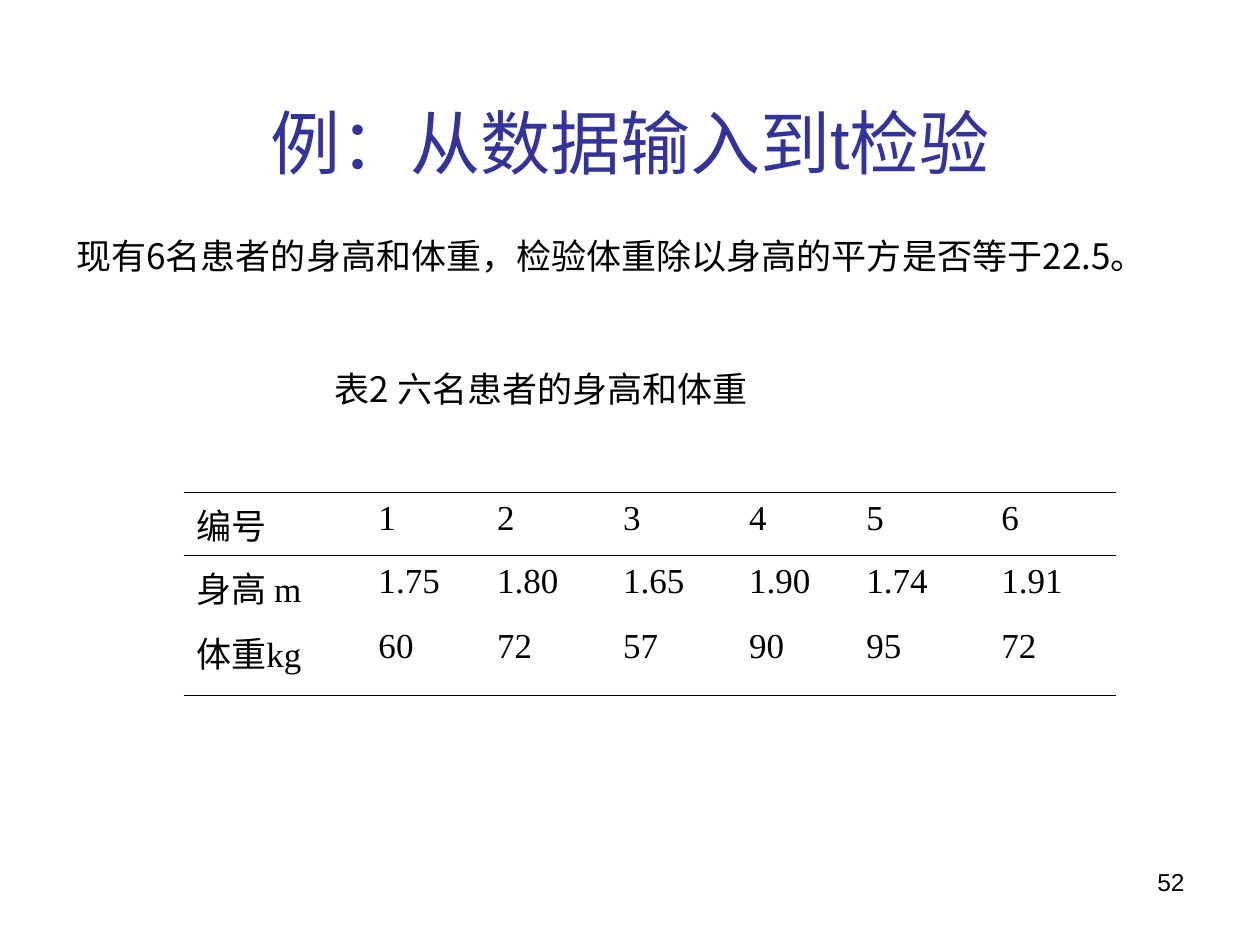
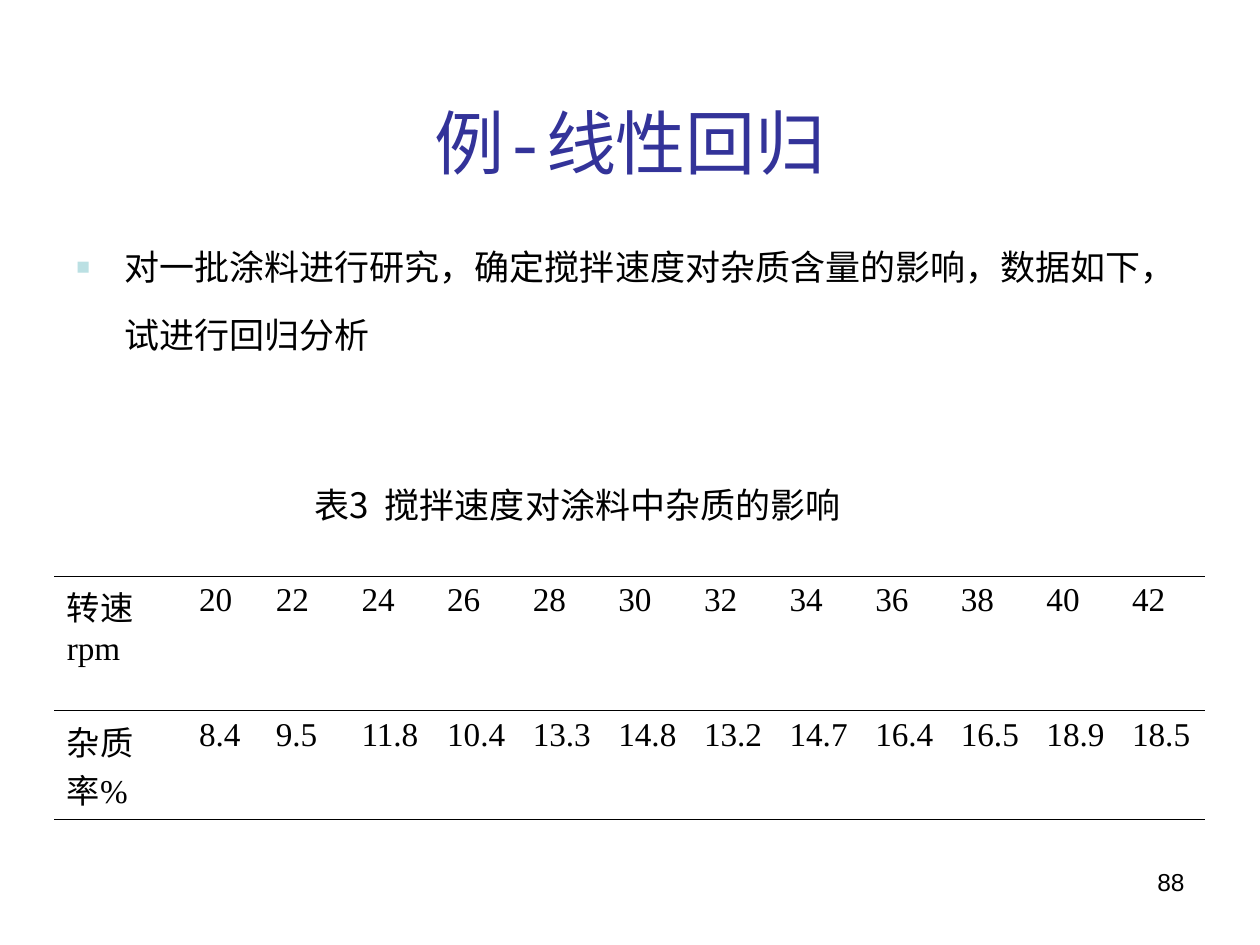
from dataclasses import dataclass

from lxml.etree import SubElement
from pptx import Presentation
from pptx.dml.color import RGBColor
from pptx.enum.text import MSO_ANCHOR, MSO_AUTO_SIZE, PP_ALIGN
from pptx.oxml import parse_xml
from pptx.oxml.ns import nsdecls, qn
from pptx.util import Pt


@dataclass(frozen=True)
class Theme:
    title_color: str = "333399"
    text_color: str = "000000"
    bullet_color: str = "BBE0E3"
    cjk: str = "Noto Sans CJK SC"
    page_font: str = "Arial"
    bullet_font: str = "Arial"
    table_font: str = "Times New Roman"
    title_size: float = 40
    body_size: float = 20
    page_size: float = 14
    line_spacing: float = 1.6
    plain_table: str = "{2D5ABB26-0587-4C30-8999-92F81FD0307C}"


THEME = Theme()

# Content: boxes are (left, top, width, height) in points
EXAMPLES = [
    {
        "title": "例：从数据输入到t检验",
        "title_font": "Arial",
        "page": "52",
        "task": "现有6名患者的身高和体重，检验体重除以身高的平方是否等于22.5。",
        "task_box": (36.5, 116, 629, 46),
        "task_before": 5,
        "bulleted": False,
        "caption": "表2 六名患者的身高和体重",
        "caption_box": (184.2, 206.2, 391, 32),
        "rows": [
            ["编号", "1", "2", "3", "4", "5", "6"],
            ["身高 m", "1.75", "1.80", "1.65", "1.90", "1.74", "1.91"],
            ["体重kg", "60", "72", "57", "90", "95", "72"],
        ],
        "table_at": (104.9, 281.4),
        "column_widths": [104.2, 67.8, 72, 72, 67, 77.2, 72.6],
        "row_heights": [36.2, 37.1, 42.8],
        "table_size": 20,
        "ruled_after": [0, 2],
        "top_rule": 0.75,
    },
    {
        "title": "例-线性回归",
        "title_font": "Courier New",
        "page": "88",
        "task": "对一批涂料进行研究，确定搅拌速度对杂质含量的影响，数据如下，试进行回归分析",
        "task_box": (36.5, 122.5, 652, 84),
        "task_before": 12.5,
        "bulleted": True,
        "caption": "表3  搅拌速度对涂料中杂质的影响",
        "caption_box": (172.7, 273, 459, 32),
        "rows": [
            ["转速rpm"] + [str(rpm) for rpm in range(20, 43, 2)],
            ["杂质率%", "8.4", "9.5", "11.8", "10.4", "13.3", "14.8",
             "13.2", "14.7", "16.4", "16.5", "18.9", "18.5"],
        ],
        "table_at": (31, 329.2),
        "column_widths": [75.6, 43.9] + [48.95] * 11,
        "row_heights": [76.7, 62.3],
        "table_size": 19,
        "ruled_after": [0, 1],
        "top_rule": 0.45,
    },
]
TITLE_BOX = (36, 21.6, 648, 90)
PAGE_BOX = (516.2, 491.8, 167.8, 37.4)
RULE = 0.45
BULLET_INDENT = 27.4


# Text helpers
def style(paragraph, size, font, color=THEME.text_color):
    paragraph.font.size = Pt(size)
    paragraph.font.name = font
    paragraph.font.color.rgb = RGBColor.from_string(color)
    defaults = paragraph._p.pPr.find(qn("a:defRPr"))
    SubElement(defaults, qn("a:ea"), typeface=THEME.cjk)


def add_text(slide, text, box, size, font, grow=True):
    frame = slide.shapes.add_textbox(*map(Pt, box)).text_frame
    frame.word_wrap = True
    if grow:
        frame.auto_size = MSO_AUTO_SIZE.SHAPE_TO_FIT_TEXT
    paragraph = frame.paragraphs[0]
    paragraph.text = text
    style(paragraph, size, font)
    return paragraph


def add_bullet(paragraph):
    properties = paragraph._p.get_or_add_pPr()
    properties.set("marL", str(Pt(BULLET_INDENT)))
    properties.set("indent", str(-Pt(BULLET_INDENT)))
    defaults = properties.find(qn("a:defRPr"))
    for mark in (
        f'<a:buClr {nsdecls("a")}><a:srgbClr val="{THEME.bullet_color}"/></a:buClr>',
        f'<a:buSzPct {nsdecls("a")} val="65000"/>',
        f'<a:buFont {nsdecls("a")} typeface="{THEME.bullet_font}"/>',
        f'<a:buChar {nsdecls("a")} char="■"/>',
    ):
        defaults.addprevious(parse_xml(mark))


# Table: every side is stated, so that unruled sides stay empty
def set_rules(cell, top, bottom):
    sides = (("lnL", 0), ("lnR", 0), ("lnT", top), ("lnB", bottom))
    for position, (tag, width) in enumerate(sides):
        paint = (f'<a:solidFill><a:srgbClr val="{THEME.text_color}"/></a:solidFill>'
                 if width else "<a:noFill/>")
        line = parse_xml(
            f'<a:{tag} {nsdecls("a")} w="{Pt(width)}">{paint}</a:{tag}>')
        cell._tc.get_or_add_tcPr().insert(position, line)


def add_data_table(slide, example):
    rows, widths, heights = (
        example[key] for key in ("rows", "column_widths", "row_heights"))
    table = slide.shapes.add_table(
        len(rows), len(widths), *map(Pt, example["table_at"]),
        Pt(sum(widths)), Pt(sum(heights))).table
    table.first_row = table.horz_banding = False
    table._tbl.tblPr.find(qn("a:tableStyleId")).text = THEME.plain_table
    for column, width in zip(table.columns, widths):
        column.width = Pt(width)
    for r, (values, height) in enumerate(zip(rows, heights)):
        table.rows[r].height = Pt(height)
        above = RULE if r - 1 in example["ruled_after"] else 0
        top = above if r else example["top_rule"]
        bottom = RULE if r in example["ruled_after"] else 0
        for c, value in enumerate(values):
            cell = table.cell(r, c)
            cell.text = value
            cell.fill.background()
            set_rules(cell, top, bottom)
            style(cell.text_frame.paragraphs[0], example["table_size"], THEME.table_font)


# Slide
def add_title(slide, text, font):
    title = slide.shapes.title
    title.left, title.top, title.width, title.height = map(Pt, TITLE_BOX)
    title.text_frame.vertical_anchor = MSO_ANCHOR.MIDDLE
    heading = title.text_frame.paragraphs[0]
    heading.text = text
    heading.alignment = PP_ALIGN.CENTER
    heading.line_spacing = THEME.line_spacing
    style(heading, THEME.title_size, font, THEME.title_color)


def add_example(deck, example):
    slide = deck.slides.add_slide(deck.slide_layouts.get_by_name("Title Only"))
    add_title(slide, example["title"], example["title_font"])

    page = add_text(slide, example["page"], PAGE_BOX,
                    THEME.page_size, THEME.page_font, grow=False)
    page.alignment = PP_ALIGN.RIGHT

    add_data_table(slide, example)
    caption = add_text(slide, example["caption"], example["caption_box"],
                       THEME.body_size, THEME.cjk)
    caption.space_before = Pt(12.5)

    task = add_text(slide, example["task"], example["task_box"],
                    THEME.body_size, THEME.cjk)
    task.line_spacing = THEME.line_spacing
    task.space_before = Pt(example["task_before"])
    if example["bulleted"]:
        add_bullet(task)


def main():
    deck = Presentation()
    deck.slide_width, deck.slide_height = Pt(720), Pt(540)
    for example in EXAMPLES:
        add_example(deck, example)
    deck.save("out.pptx")


if __name__ == "__main__":
    main()
